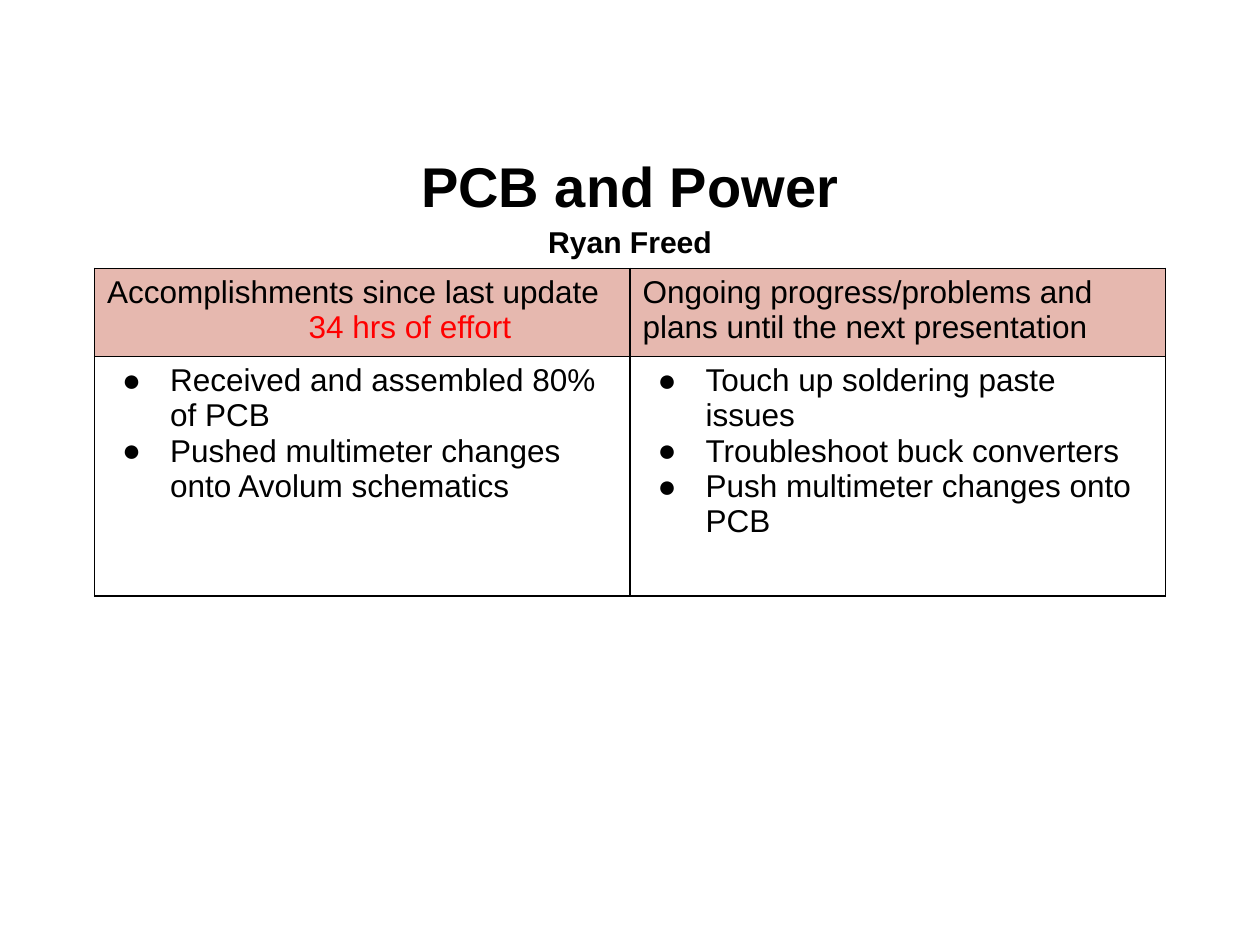
from pptx import Presentation
from pptx.dml.color import RGBColor
from pptx.enum.text import MSO_ANCHOR as Anchor, PP_ALIGN as Align
from pptx.oxml.ns import qn
from pptx.util import Inches, Pt
from lxml.etree import SubElement

BLACK = RGBColor(0x00, 0x00, 0x00)
RED = RGBColor(0xFF, 0x00, 0x00)
PINK = RGBColor(0xE6, 0xB8, 0xAF)

HEADINGS = [
    [("Accomplishments since last update", BLACK, 0), ("34 hrs of effort", RED, 1.6)],
    [("Ongoing progress/problems and plans until the next presentation", BLACK, 0)],
]
POINTS = [
    ["Received and assembled 80% of PCB",
     "Pushed multimeter changes onto Avolum schematics"],
    ["Touch up soldering paste issues",
     "Troubleshoot buck converters",
     "Push multimeter changes onto PCB"],
]


class UpdateSlide:
    font_name = "Arial"
    body_size = 18

    def __init__(self, presentation):
        self.slide = presentation.slides.add_slide(presentation.slide_layouts[6])

    def style(self, paragraph, text, size, color=BLACK, bold=False):
        paragraph.text = text
        font = paragraph.font
        font.name, font.size, font.bold = self.font_name, Pt(size), bold
        font.color.rgb = color

    def paragraphs(self, frame, count):
        return [frame.paragraphs[0]] + [frame.add_paragraph() for _ in range(count - 1)]

    def title(self, left, top, width, height, lines):
        box = self.slide.shapes.add_textbox(
            Inches(left), Inches(top), Inches(width), Inches(height))
        frame = box.text_frame
        frame.word_wrap = True
        frame.vertical_anchor = Anchor.MIDDLE
        for paragraph, (text, size) in zip(self.paragraphs(frame, len(lines)), lines):
            paragraph.alignment = Align.CENTER
            paragraph.line_spacing = 1.15
            self.style(paragraph, text, size, bold=True)

    def table(self, left, top, widths, heights):
        grid = self.slide.shapes.add_table(
            len(heights), len(widths), Inches(left), Inches(top),
            Inches(sum(widths)), Inches(sum(heights))).table
        grid.first_row = grid.horz_banding = False
        for column, width in zip(grid.columns, widths):
            column.width = Inches(width)
        for row, height in zip(grid.rows, heights):
            row.height = Inches(height)
        for cell in grid.iter_cells():
            self.borders(cell)
            cell.margin_left = cell.margin_right = Inches(0.1)
            cell.margin_top = cell.margin_bottom = Inches(0.05)
        return grid

    def borders(self, cell):
        properties = cell._tc.get_or_add_tcPr()
        for side in ("a:lnL", "a:lnR", "a:lnT", "a:lnB"):
            line = SubElement(properties, qn(side), w=str(Pt(1)))
            fill = SubElement(line, qn("a:solidFill"))
            SubElement(fill, qn("a:srgbClr"), val=str(BLACK))

    def heading(self, cell, lines):
        cell.fill.solid()
        cell.fill.fore_color.rgb = PINK
        paragraphs = self.paragraphs(cell.text_frame, len(lines))
        for paragraph, (text, color, indent) in zip(paragraphs, lines):
            paragraph._p.get_or_add_pPr().set("marL", str(Inches(indent)))
            self.style(paragraph, text, self.body_size, color)

    def bullets(self, cell, points):
        cell.fill.background()
        for paragraph, text in zip(self.paragraphs(cell.text_frame, len(points)), points):
            properties = paragraph._p.get_or_add_pPr()
            properties.set("marL", str(Inches(0.5)))
            properties.set("indent", str(Inches(-0.38)))
            color = SubElement(properties, qn("a:buClr"))
            SubElement(color, qn("a:srgbClr"), val=str(BLACK))
            SubElement(properties, qn("a:buFont"), typeface=self.font_name)
            SubElement(properties, qn("a:buChar"), char="●")
            self.style(paragraph, text, self.body_size)


def main():
    presentation = Presentation()
    presentation.slide_width, presentation.slide_height = Inches(10), Inches(7.5)
    update = UpdateSlide(presentation)
    update.title(0.5, 1.15, 9, 0.88, [("PCB and Power", 32), ("Ryan Freed", 17.2)])
    progress = update.table(0.75, 2.13, [4.25, 4.25], [0.7, 1.9])
    for column, (lines, points) in enumerate(zip(HEADINGS, POINTS)):
        update.heading(progress.cell(0, column), lines)
        update.bullets(progress.cell(1, column), points)
    presentation.save("out.pptx")


if __name__ == "__main__":
    main()
